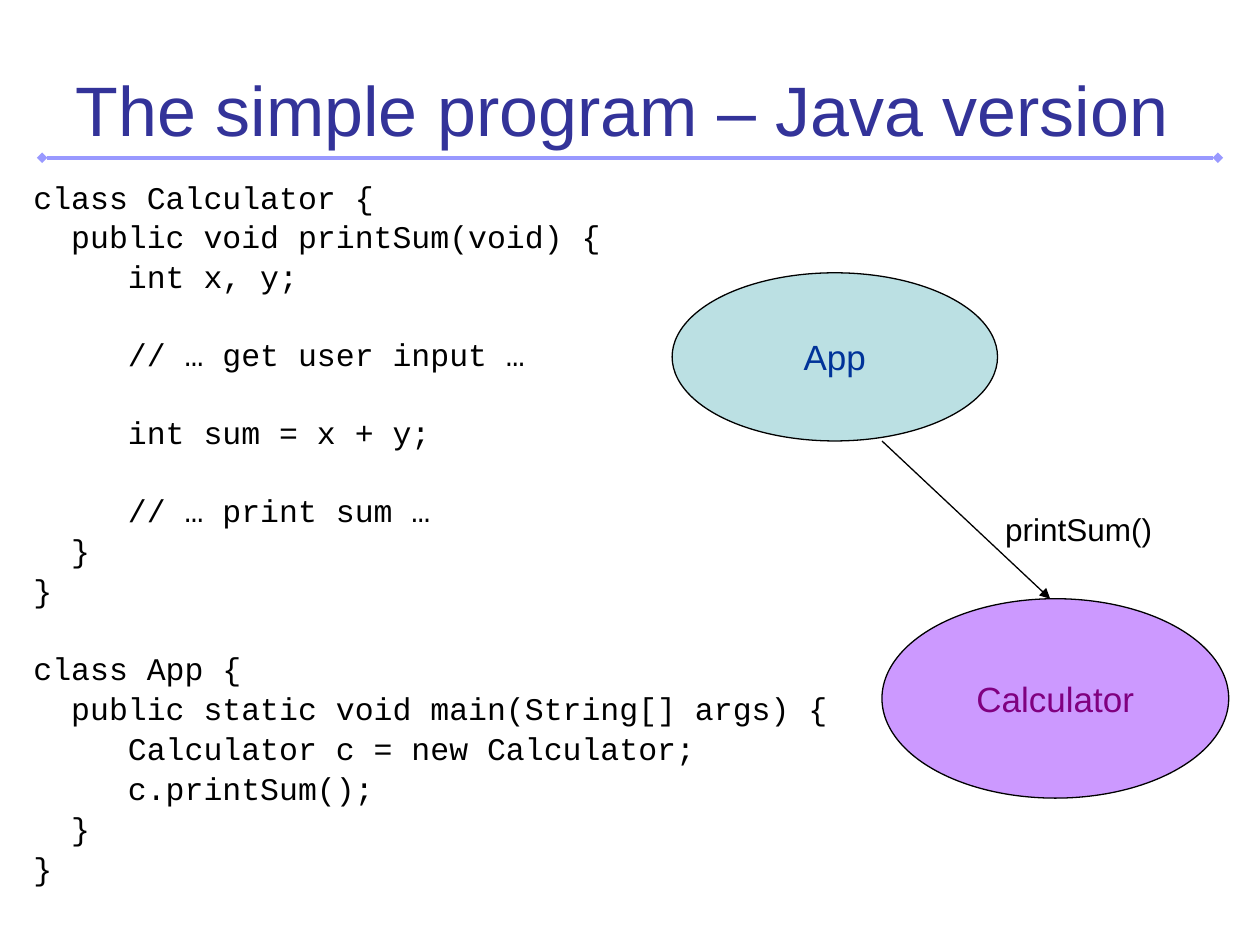
from dataclasses import dataclass

from lxml import etree
from pptx import Presentation
from pptx import util as u
from pptx.dml.color import RGBColor
from pptx.enum import shapes, text
from pptx.oxml import ns


@dataclass(frozen=True)
class Theme:
    sans: str = "Arial"
    mono: str = "Courier New"
    title_pt: int = 40
    node_pt: int = 20
    body_pt: int = 18
    title: str = "333399"
    rule: str = "9999FF"
    ink: str = "000000"
    app_fill: str = "BBE0E3"
    app_text: str = "003399"
    calc_fill: str = "CC99FF"
    calc_text: str = "800080"


CODE = """\
class Calculator {
  public void printSum(void) {
     int x, y;

     // … get user input …

     int sum = x + y;

     // … print sum …
  }
}

class App {
  public static void main(String[] args) {
     Calculator c = new Calculator;
     c.printSum();
  }
}"""


class Deck:
    def __init__(self, prs, theme):
        self.theme = theme
        self.slide = prs.slides.add_slide(prs.slide_layouts[1])

    def place(self, sp, left, top, width, height):
        sp.left, sp.top = u.Cm(left), u.Cm(top)
        sp.width, sp.height = u.Cm(width), u.Cm(height)

    def frame(self, sp, anchor, wrap):
        tf = sp.text_frame
        tf.auto_size = text.MSO_AUTO_SIZE.NONE
        tf.vertical_anchor = anchor
        tf.word_wrap = wrap
        return tf

    def run(self, p, words, font, size, color):
        r = p.add_run()
        r.text = words
        r.font.name = font
        r.font.size = u.Pt(size)
        r.font.color.rgb = RGBColor.from_string(color)

    def title(self, words, *box):
        sp = self.slide.shapes.title
        self.place(sp, *box)
        p = self.frame(sp, text.MSO_ANCHOR.MIDDLE, True).paragraphs[0]
        p.alignment = text.PP_ALIGN.LEFT
        self.run(p, words, self.theme.sans, self.theme.title_pt, self.theme.title)

    def code(self, source, *box, gap=5.5, blank=21.8):
        sp = self.slide.placeholders[1]
        self.place(sp, *box)
        tf = self.frame(sp, text.MSO_ANCHOR.TOP, True)
        p, before = tf.paragraphs[0], 0
        for line in source.splitlines():
            if not line:
                before += blank
                continue
            if p is None:
                p = tf.add_paragraph()
            pPr = p._p.get_or_add_pPr()
            pPr.set("marL", str(u.Cm(0.95)))
            pPr.set("indent", str(-u.Cm(0.95)))
            etree.SubElement(pPr, ns.qn("a:buNone"))
            p.line_spacing = 0.8
            p.space_before = u.Pt(before)
            self.run(p, line, self.theme.mono, self.theme.body_pt, self.theme.ink)
            p, before = None, gap

    def node(self, words, fill, color, *box):
        sp = self.slide.shapes.add_shape(
            shapes.MSO_SHAPE.OVAL, *(u.Cm(v) for v in box))
        sp.shadow.inherit = False
        sp.fill.solid()
        sp.fill.fore_color.rgb = RGBColor.from_string(fill)
        sp.line.color.rgb = RGBColor.from_string(self.theme.ink)
        sp.line.width = u.Pt(0.75)
        p = self.frame(sp, text.MSO_ANCHOR.MIDDLE, False).paragraphs[0]
        p.alignment = text.PP_ALIGN.CENTER
        self.run(p, words, self.theme.sans, self.theme.node_pt, color)

    def label(self, words, *box):
        sp = self.slide.shapes.add_textbox(*(u.Cm(v) for v in box))
        p = self.frame(sp, text.MSO_ANCHOR.TOP, False).paragraphs[0]
        p.alignment = text.PP_ALIGN.CENTER
        self.run(p, words, self.theme.sans, self.theme.body_pt, self.theme.ink)

    def line(self, color, width, *ends, **arrows):
        cxn = self.slide.shapes.add_connector(
            shapes.MSO_CONNECTOR.STRAIGHT, *(u.Cm(v) for v in ends))
        cxn.line.color.rgb = RGBColor.from_string(color)
        cxn.line.width = u.Pt(width)
        ln = cxn.line._get_or_add_ln()
        for end, kind in arrows.items():
            etree.SubElement(ln, ns.qn(f"a:{end}"), type=kind)
        etree.SubElement(cxn._element.spPr, ns.qn("a:effectLst"))


def main():
    prs = Presentation()
    prs.slide_width, prs.slide_height = u.Cm(25.4), u.Cm(19.05)
    theme = Theme()
    deck = Deck(prs, theme)
    deck.line(theme.rule, 2, 0.85, 3.18, 24.55, 3.18,
              headEnd="diamond", tailEnd="diamond")
    deck.title("The simple program – Java version", 1.27, 0.76, 22.86, 2.84)
    deck.code(CODE, 0.42, 3.6, 16.93, 14.82)
    deck.node("App", theme.app_fill, theme.app_text, 13.55, 5.5, 6.56, 3.39)
    deck.node("Calculator", theme.calc_fill, theme.calc_text,
              17.78, 12.07, 6.99, 4.02)
    deck.line(theme.ink, 0.75, 17.78, 8.89, 21.17, 12.07, tailEnd="triangle")
    deck.label("printSum()", 20.02, 10.16, 3.45, 1.02)
    prs.save("out.pptx")


if __name__ == "__main__":
    main()
